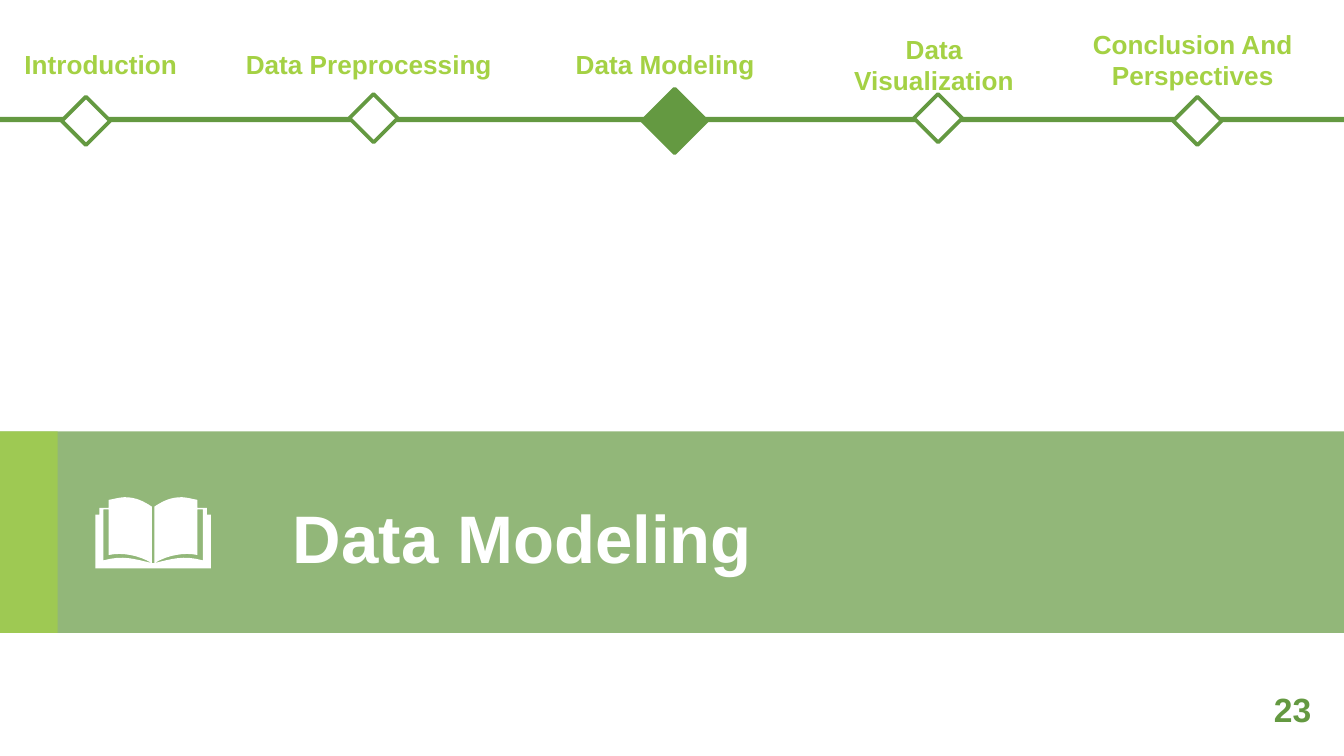
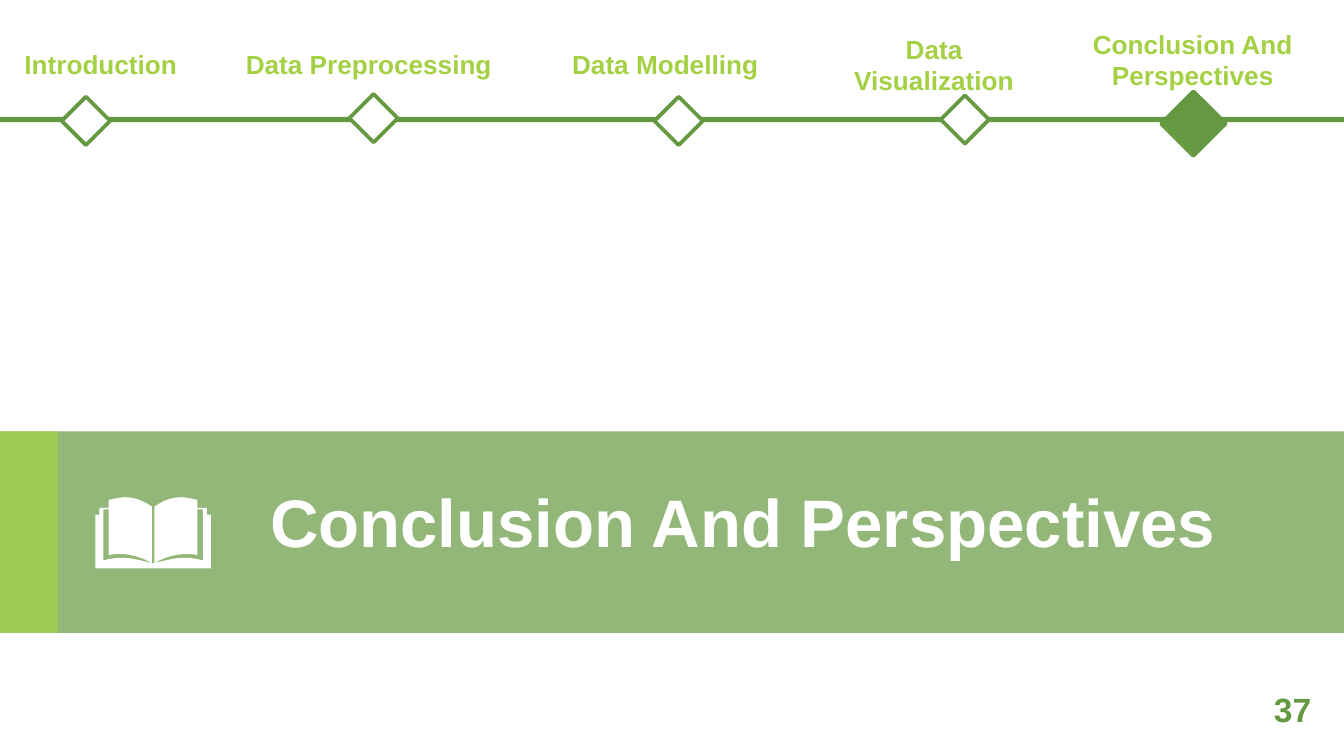
from lxml.etree import SubElement
from pptx import Presentation
from pptx.dml.color import RGBColor
from pptx.enum.shapes import MSO_SHAPE as Preset
from pptx.enum.text import MSO_ANCHOR as Anchor, MSO_AUTO_SIZE as AutoSize, PP_ALIGN as Align
from pptx.oxml.ns import qn
from pptx.util import Inches, Pt

COLORS = {"green": "649941", "lime": "A4D144", "white": "FFFFFF"}
FONT = "Arial"
SLIDE_WIDTH = 10
SLIDE_HEIGHT = SLIDE_WIDTH * 9 / 16
BAND_TOP, BAND_HEIGHT = 3.21, 1.5

LABEL_BOXES = [
    (-0.41, 0.31, 2.32, 0.34),
    (1.33, 0.31, 2.83, 0.34),
    (3.93, 0.31, 2.04, 0.34),
    (6.02, 0.31, 1.86, 0.34),
    (7.89, 0.16, 1.97, 0.57),
]
SECTIONS = [
    {
        "title": "Data Modeling",
        "title_box": (2.08, 3.34, 7.01, 1.24),
        "modeling_label": "Data Modeling",
        "current": 2,
        "markers": [(0.64, 0.9), (2.78, 0.88), (5.02, 0.9), (6.98, 0.88), (8.91, 0.9)],
        "number": "23",
    },
    {
        "title": "Conclusion And Perspectives",
        "title_box": (1.91, 3.24, 7.87, 1.21),
        "modeling_label": "Data Modelling",
        "current": 4,
        "markers": [(0.64, 0.9), (2.78, 0.88), (5.05, 0.9), (7.18, 0.89), (8.88, 0.92)],
        "number": "37",
    },
]

BOOK_CENTER = 1.14
BOOK_LEFT_HALF = [
    (1.13, 4.19),
    (1, 4.16, 0.92, 4.13, 0.77, 4.17),
    (0.77, 3.79),
    (0.81, 3.79),
    (0.81, 4.13),
    (0.91, 4.11, 1.03, 4.13, 1.13, 4.19),
    (1.13, 3.77),
    (1.07, 3.73, 1.01, 3.7, 0.93, 3.7),
    (0.9, 3.7, 0.86, 3.71, 0.81, 3.72),
    (0.81, 3.78),
    (0.74, 3.78),
    (0.74, 3.83),
    (0.71, 3.83),
    (0.71, 4.23),
]


def color(name):
    """Return the named palette colour."""
    return RGBColor.from_string(COLORS[name])


def add_filled_shape(slide, preset, box, fill, line=None, opacity=None):
    """Add a flat preset shape, optionally outlined or translucent."""
    shape = slide.shapes.add_shape(preset, *map(Inches, box))
    shape.shadow.inherit = False
    shape.fill.solid()
    shape.fill.fore_color.rgb = color(fill)
    if opacity:
        fill_color = shape.element.spPr.find(qn("a:solidFill"))[0]
        SubElement(fill_color, qn("a:alpha")).set("val", str(opacity * 1000))
    if line:
        shape.line.color.rgb = color(line)
        shape.line.width = Pt(2)
    else:
        shape.line.fill.background()


def write_text(shape, text, size, color_name, align=Align.LEFT, anchor=Anchor.MIDDLE):
    """Write one bold paragraph into a shape and return it."""
    frame = shape.text_frame
    frame.text = text
    frame.word_wrap = True
    frame.auto_size = AutoSize.NONE
    frame.vertical_anchor = anchor
    paragraph = frame.paragraphs[0]
    paragraph.alignment = align
    paragraph.font.name = FONT
    paragraph.font.size = Pt(size)
    paragraph.font.bold = True
    paragraph.font.color.rgb = color(color_name)
    return paragraph


def add_label(slide, box, *text_settings):
    """Add a text box with one bold paragraph."""
    write_text(slide.shapes.add_textbox(*map(Inches, box)), *text_settings)


def add_title(slide, text, box):
    """Place the title in front of the band."""
    title = slide.shapes.title
    title.left, title.top, title.width, title.height = map(Inches, box)
    write_text(title, text, 36, "white").line_spacing = 1.1
    title.element.getparent().append(title.element)


def flatten_curve(start, curve, steps=8):
    """Return points along a cubic curve after its start."""
    corners = [start, curve[:2], curve[2:4], curve[4:]]
    points = []
    for step in range(1, steps + 1):
        t = step / steps
        weights = ((1 - t) ** 3, 3 * t * (1 - t) ** 2, 3 * t * t * (1 - t), t ** 3)
        points.append(tuple(
            sum(weight * corner[axis] for weight, corner in zip(weights, corners))
            for axis in (0, 1)
        ))
    return points


def add_book(slide):
    """Draw the open book as a left half and its reflection."""
    half = []
    for segment in BOOK_LEFT_HALF:
        half += [segment] if len(segment) == 2 else flatten_curve(half[-1], segment)
    outline = half + [(2 * BOOK_CENTER - x, y) for x, y in reversed(half)]
    points = [(Inches(x), Inches(y)) for x, y in outline]
    builder = slide.shapes.build_freeform(*points[0])
    builder.add_line_segments(points[1:], close=True)
    book = builder.convert_to_shape()
    book.shadow.inherit = False
    book.fill.solid()
    book.fill.fore_color.rgb = color("white")
    book.line.fill.background()


def add_timeline(slide, section):
    """Draw the section labels and markers, with the current one filled."""
    add_filled_shape(slide, Preset.RECTANGLE, (0, 0.87, SLIDE_WIDTH, 0.04), "green")
    labels = [
        "Introduction",
        "Data Preprocessing",
        section["modeling_label"],
        "Data Visualization",
        "Conclusion And Perspectives",
    ]
    for label, box in zip(labels, LABEL_BOXES):
        add_label(slide, box, label, 14, "lime", Align.CENTER)
    for index, (x, y) in enumerate(section["markers"]):
        size, fill = (0.48, "green") if index == section["current"] else (0.36, "white")
        box = (x - size / 2, y - size / 2, size, size)
        add_filled_shape(slide, Preset.DIAMOND, box, fill, line="green")


def add_section_slide(presentation, section):
    """Build one section opener."""
    slide = presentation.slides.add_slide(presentation.slide_layouts[5])
    for width, fill in ((SLIDE_WIDTH, "green"), (0.43, "lime")):
        box = (0, BAND_TOP, width, BAND_HEIGHT)
        add_filled_shape(slide, Preset.RECTANGLE, box, fill, opacity=70)
    add_title(slide, section["title"], section["title_box"])
    add_timeline(slide, section)
    add_book(slide)
    number_box = (9.38, 5.08, 0.62, 0.4)
    add_label(slide, number_box, section["number"], 18, "green", Align.LEFT, Anchor.TOP)


def main():
    """Create and save the presentation."""
    presentation = Presentation()
    presentation.slide_width = Inches(SLIDE_WIDTH)
    presentation.slide_height = Inches(SLIDE_HEIGHT)
    for section in SECTIONS:
        add_section_slide(presentation, section)
    presentation.save("out.pptx")


if __name__ == "__main__":
    main()
